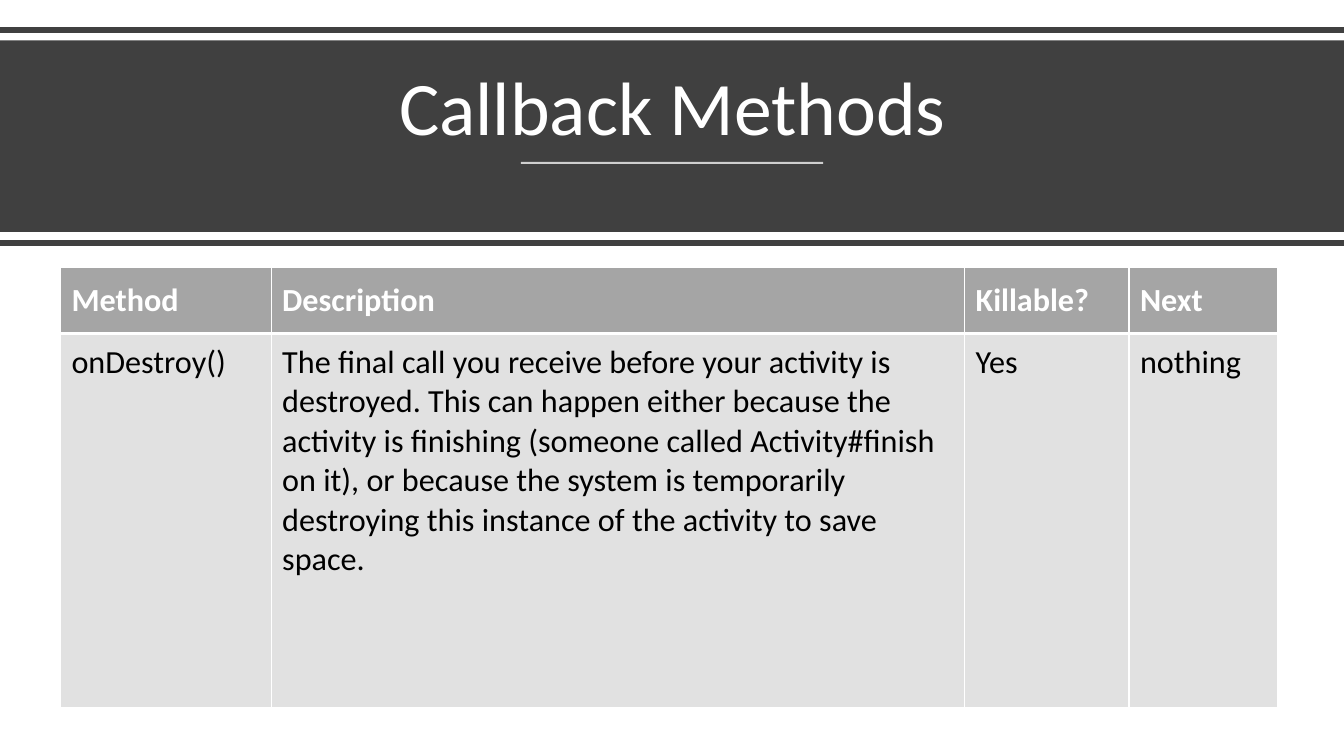
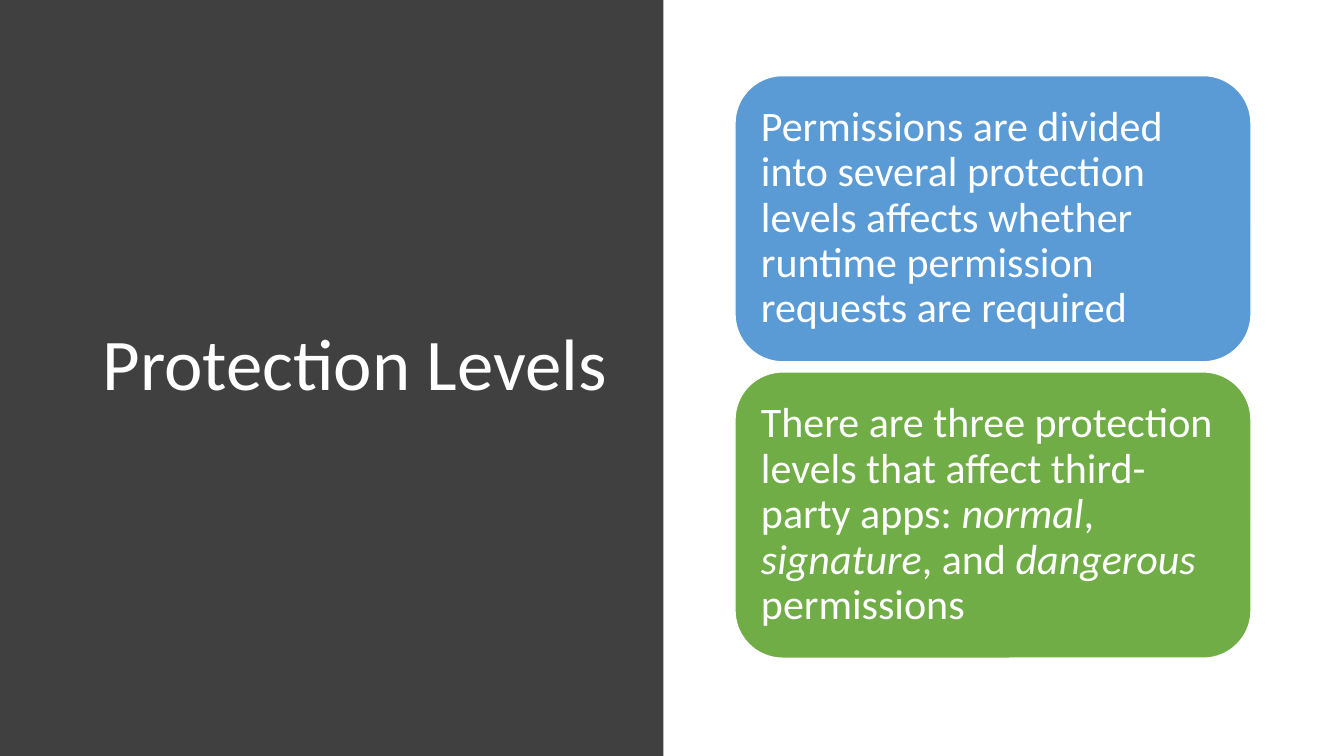
from dataclasses import dataclass

from lxml.etree import SubElement
from pptx import Presentation
from pptx.dml.color import RGBColor
from pptx.enum.shapes import MSO_CONNECTOR, MSO_SHAPE
from pptx.enum.text import MSO_ANCHOR, PP_ALIGN
from pptx.oxml.ns import qn
from pptx.util import Pt


@dataclass(frozen=True)
class Theme:
    """Colours, font and type sizes, in points."""
    font: str = "Calibri"
    dark: str = "404040"
    white: str = "FFFFFF"
    black: str = "000000"
    header: str = "A5A5A5"
    body: str = "E1E1E1"
    blue: str = "5B9BD5"
    green: str = "70AD47"
    band_title: float = 54
    panel_title: float = 52
    card: float = 30
    table: float = 23


THEME = Theme()
WIDTH, HEIGHT = 960, 540


def write_text(frame, text, *, size, color=THEME.white, bold=False,
               align=PP_ALIGN.LEFT, spacing=None):
    """Fill a text frame; parts between asterisks are italic."""
    paragraph = frame.paragraphs[0]
    paragraph.alignment = align
    if spacing:
        paragraph.line_spacing = spacing
    for index, part in enumerate(text.split("*")):
        run = paragraph.add_run()
        run.text = part
        font = run.font
        font.name, font.size = THEME.font, Pt(size)
        font.bold, font.italic = bold, index % 2 == 1
        font.color.rgb = RGBColor.from_string(color)


def set_margins(target, left, top, right, bottom):
    target.margin_left, target.margin_top = Pt(left), Pt(top)
    target.margin_right, target.margin_bottom = Pt(right), Pt(bottom)


def set_border(cell, side, width):
    properties = cell._tc.get_or_add_tcPr()
    line = SubElement(properties, qn(f"a:ln{side}"), w=str(Pt(width)))
    fill = SubElement(line, qn("a:solidFill"))
    SubElement(fill, qn("a:srgbClr"), val=THEME.white)


class Deck:
    """Holds the presentation, the style and the current slide."""

    def __init__(self, theme):
        self.theme = theme
        self.presentation = Presentation()
        self.presentation.slide_width = Pt(WIDTH)
        self.presentation.slide_height = Pt(HEIGHT)
        self.slide = None

    def new_slide(self):
        layout = self.presentation.slide_layouts[6]
        self.slide = self.presentation.slides.add_slide(layout)

    def block(self, left, top, width, height, color,
              kind=MSO_SHAPE.RECTANGLE, outline=None):
        shape = self.slide.shapes.add_shape(
            kind, Pt(left), Pt(top), Pt(width), Pt(height))
        shape.shadow.inherit = False
        shape.fill.solid()
        shape.fill.fore_color.rgb = RGBColor.from_string(color)
        if outline:
            shape.line.color.rgb = RGBColor.from_string(outline)
            shape.line.width = Pt(1)
        else:
            shape.line.fill.background()
        return shape

    def rule(self, left, right, top, color, width, opacity=None):
        connector = self.slide.shapes.add_connector(
            MSO_CONNECTOR.STRAIGHT, Pt(left), Pt(top), Pt(right), Pt(top))
        connector.line.color.rgb = RGBColor.from_string(color)
        connector.line.width = Pt(width)
        properties = connector._element.spPr
        SubElement(properties, qn("a:effectLst"))
        if opacity:
            color_element = properties.find(".//" + qn("a:srgbClr"))
            SubElement(color_element, qn("a:alpha"), val=str(opacity * 1000))

    def title(self, text, left, top, width, height, anchor, **text_format):
        box = self.slide.shapes.add_textbox(
            Pt(left), Pt(top), Pt(width), Pt(height))
        box.text_frame.word_wrap = True
        box.text_frame.vertical_anchor = anchor
        write_text(box.text_frame, text, spacing=0.9, **text_format)

    def card(self, text, left, top, width, height, color):
        shape = self.block(left, top, width, height, color,
                           MSO_SHAPE.ROUNDED_RECTANGLE, self.theme.white)
        frame = shape.text_frame
        frame.word_wrap = True
        frame.vertical_anchor = MSO_ANCHOR.MIDDLE
        set_margins(frame, 8.6, 8.6, 8.6, 8.6)
        write_text(frame, text, size=self.theme.card, spacing=0.9)

    def table(self, rows, left, top, widths, heights):
        table = self.slide.shapes.add_table(
            len(rows), len(widths), Pt(left), Pt(top),
            Pt(sum(widths)), Pt(sum(heights))).table
        for column, width in zip(table.columns, widths):
            column.width = Pt(width)
        for row, height in zip(table.rows, heights):
            row.height = Pt(height)
        for row_index, texts in enumerate(rows):
            for column_index, text in enumerate(texts):
                self.cell(table.cell(row_index, column_index), text,
                          is_header=row_index == 0)

    def cell(self, cell, text, is_header):
        theme = self.theme
        # The thick rule lies between the header and the body
        top, bottom = (1, 3) if is_header else (3, 1)
        for side, width in zip("LRTB", (1, 1, top, bottom)):
            set_border(cell, side, width)
        cell.fill.solid()
        cell.fill.fore_color.rgb = RGBColor.from_string(
            theme.header if is_header else theme.body)
        cell.vertical_anchor = MSO_ANCHOR.MIDDLE if is_header else MSO_ANCHOR.TOP
        set_margins(cell, 7.9, 7.9 if is_header else 6.5, 7.9, 7.9)
        write_text(cell.text_frame, text, size=theme.table, bold=is_header,
                   color=theme.white if is_header else theme.black)


def build_callback_slide(deck):
    theme = deck.theme
    deck.new_slide()
    # Title band between two rules
    deck.block(0, 28.8, WIDTH, 136.8, theme.dark)
    for top in (21.6, 173.5):
        deck.rule(0, WIDTH, top, theme.dark, 4)
    deck.title("Callback Methods", 41.8, 38.9, 877, 73.4, MSO_ANCHOR.BOTTOM,
               size=theme.band_title, align=PP_ALIGN.CENTER)
    deck.rule(372, 588, 116.4, theme.white, 1.5, opacity=75)
    # Method table
    rows = [
        ("Method", "Description", "Killable?", "Next"),
        ("onDestroy()",
         "The final call you receive before your activity is destroyed. "
         "This can happen either because the activity is finishing (someone "
         "called Activity#finish on it), or because the system is temporarily "
         "destroying this instance of the activity to save space.",
         "Yes", "nothing"),
    ]
    deck.table(rows, 43.2, 190.8, (150.5, 495.4, 117.4, 105.8), (47.5, 267.1))


def build_protection_slide(deck):
    theme = deck.theme
    deck.new_slide()
    # Title panel
    deck.block(0, 0, 473.8, HEIGHT, theme.dark)
    deck.title("Protection Levels", 66.2, 49, 377.3, 426.2, MSO_ANCHOR.MIDDLE,
               size=theme.panel_title)
    # Stacked cards
    cards = [
        ("Permissions are divided into several protection levels affects "
         "whether runtime permission requests are required", theme.blue),
        ("There are three protection levels that affect third-party apps: "
         "*normal*, *signature*, and *dangerous* permissions", theme.green),
    ]
    card_height, gap = 204.5, 7.2
    for index, (text, color) in enumerate(cards):
        top = 54 + index * (card_height + gap)
        deck.card(text, 525, top, 368.6, card_height, color)


def main():
    deck = Deck(THEME)
    build_callback_slide(deck)
    build_protection_slide(deck)
    deck.presentation.save("out.pptx")


if __name__ == "__main__":
    main()
